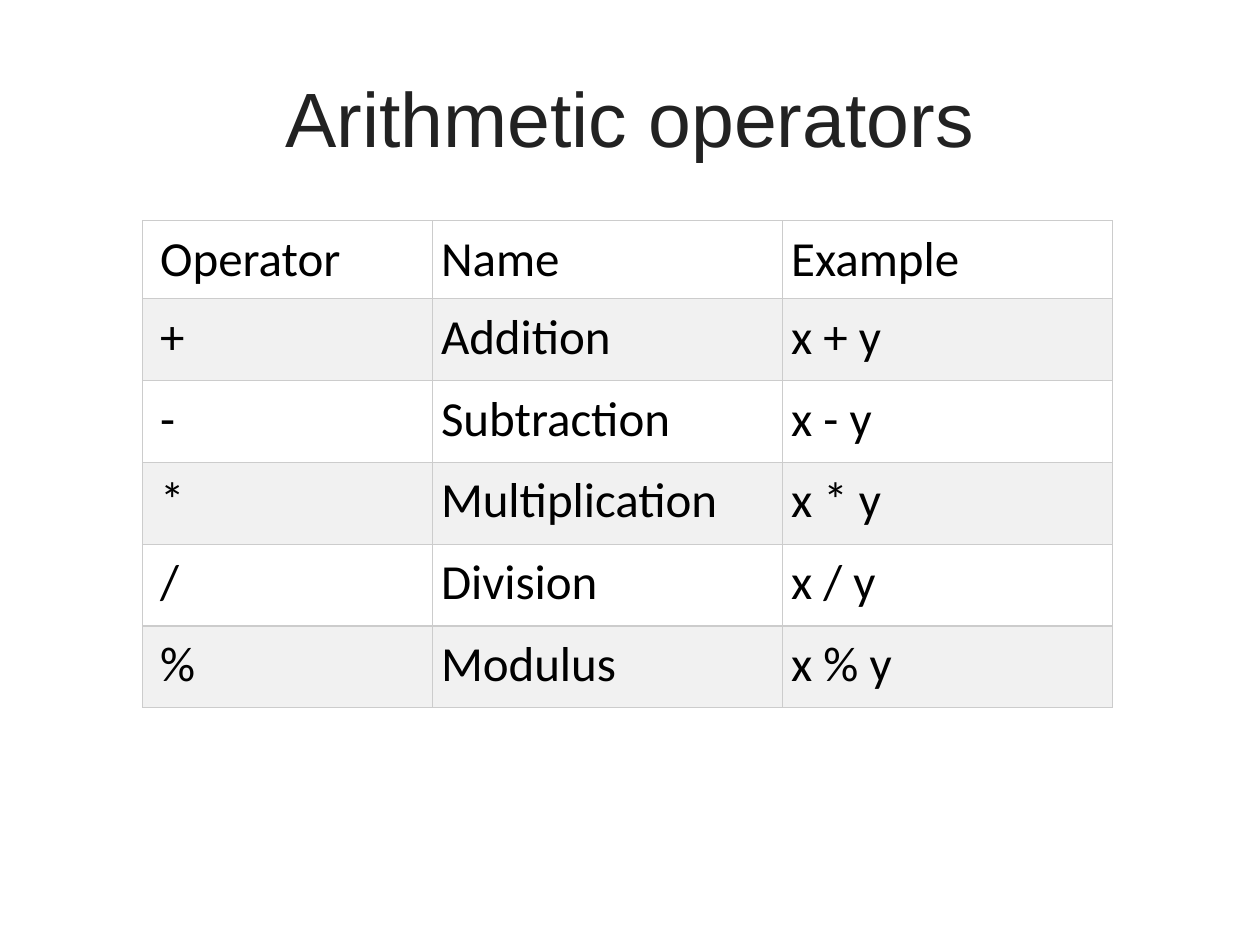
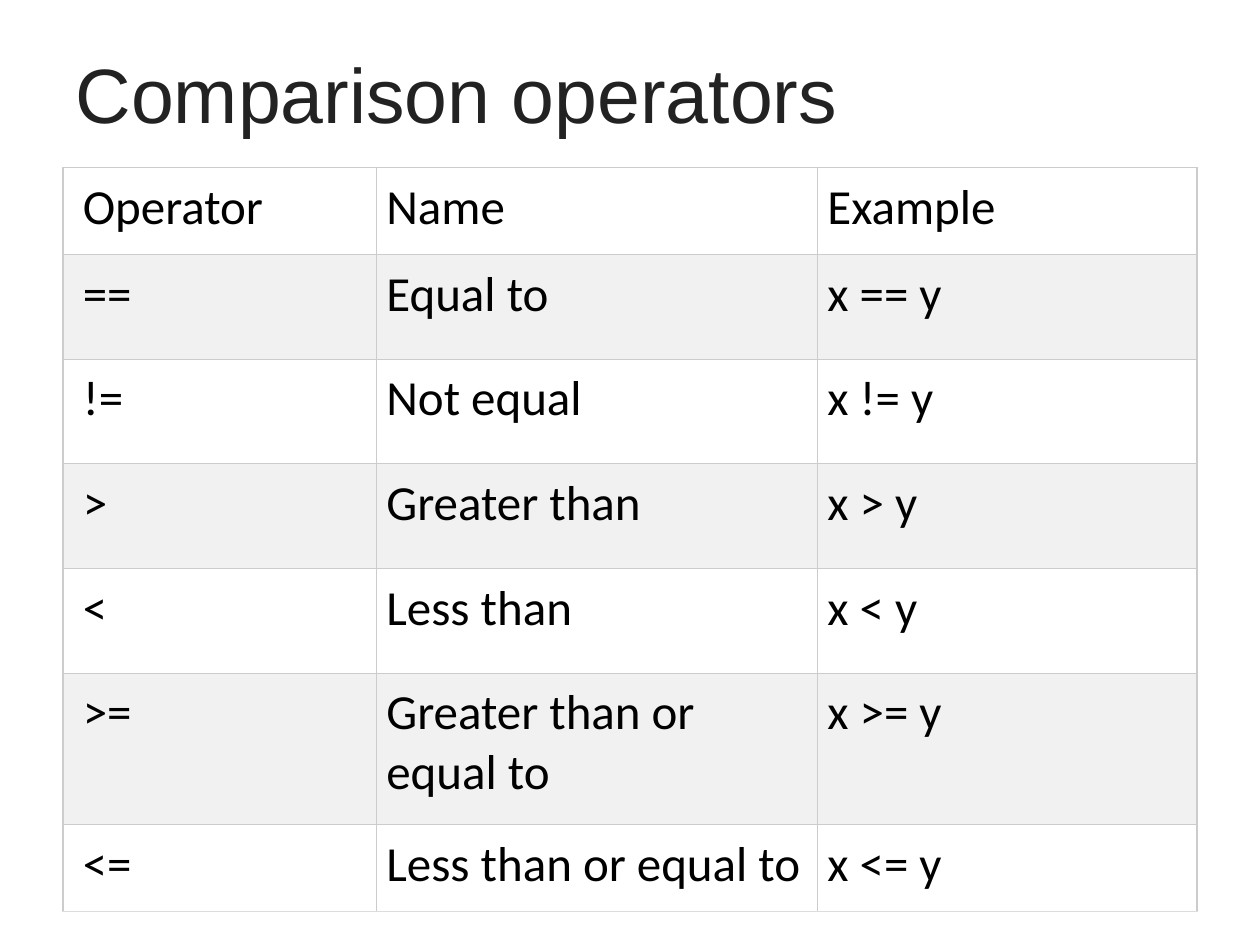
from lxml.etree import SubElement
from pptx import Presentation
from pptx.dml.color import RGBColor
from pptx.enum.text import MSO_ANCHOR, MSO_AUTO_SIZE, PP_ALIGN
from pptx.oxml.ns import qn
from pptx.util import Cm, Pt

HEADINGS = ("Operator", "Name", "Example")
SLIDES = [
    {
        "title": "Arithmetic operators",
        "align": PP_ALIGN.CENTER,
        "title_height": 3.18,
        "operators": [
            ("+", "Addition"),
            ("-", "Subtraction"),
            ("*", "Multiplication"),
            ("/", "Division"),
            ("%", "Modulus"),
        ],
        "table_left": 2.87,
        "table_top": 4.45,
        "column_widths": (5.84, 7.06, 6.65),
        "row_heights": [1.57] + [1.65] * 5,
        "margin": 0.18,
        "bottom_line": "CCCCCC",
    },
    {
        "title": "Comparison operators",
        "align": PP_ALIGN.LEFT,
        "title_height": 2.21,
        "operators": [
            ("==", "Equal to"),
            ("!=", "Not equal"),
            (">", "Greater than"),
            ("<", "Less than"),
            (">=", "Greater than or equal to"),
            ("<=", "Less than or equal to"),
        ],
        "table_left": 1.27,
        "table_top": 3.38,
        "column_widths": (6.32, 8.89, 7.65),
        "row_heights": [1.75] + [2.11] * 4 + [3.05, 1.75],
        "margin": 0.2,
        "bottom_line": "DDDDDD",
    },
]

TITLE_FORMAT = {"font": "Arial", "size": 44, "color": "222222"}
CELL_FORMAT = {"font": "Calibri", "size": 28, "color": "000000"}
ROW_FILLS = ("FFFFFF", "F1F1F1")
GRID_LINE = "CCCCCC"
TITLE_LEFT, TITLE_TOP, TITLE_WIDTH = 1.27, 0.76, 22.86


def color_of(value):
    """Turn a hex string into a colour."""
    return RGBColor.from_string(value)


def write_text(frame, text, *, font, size, color, align=PP_ALIGN.LEFT):
    """Put one formatted paragraph into a text frame."""
    paragraph = frame.paragraphs[0]
    paragraph.alignment = align
    run = paragraph.add_run()
    run.text = text
    run.font.name = font
    run.font.size = Pt(size)
    run.font.bold = False
    run.font.color.rgb = color_of(color)


def set_borders(cell, bottom):
    """Draw thin lines on the four sides of a cell."""
    properties = cell._tc.get_or_add_tcPr()
    sides = {"L": GRID_LINE, "R": GRID_LINE, "T": GRID_LINE, "B": bottom}
    for side, color in sides.items():
        line = SubElement(properties, qn(f"a:ln{side}"), w=str(Pt(0.75)))
        fill = SubElement(line, qn("a:solidFill"))
        SubElement(fill, qn("a:srgbClr"), val=color)


def format_cell(cell, text, fill, margin, left_margin, bottom):
    """Fill one table cell with its text, lines and background."""
    cell.margin_left = Cm(left_margin)
    cell.margin_right = cell.margin_top = cell.margin_bottom = Cm(margin)
    cell.vertical_anchor = MSO_ANCHOR.TOP
    set_borders(cell, bottom)
    cell.fill.solid()
    cell.fill.fore_color.rgb = color_of(fill)
    write_text(cell.text_frame, text, **CELL_FORMAT)


def add_title(slide, content):
    """Place and write the slide title."""
    title = slide.shapes.title
    title.left, title.top = Cm(TITLE_LEFT), Cm(TITLE_TOP)
    title.width, title.height = Cm(TITLE_WIDTH), Cm(content["title_height"])
    frame = title.text_frame
    frame.auto_size = MSO_AUTO_SIZE.NONE
    frame.vertical_anchor = MSO_ANCHOR.MIDDLE
    write_text(frame, content["title"], align=content["align"], **TITLE_FORMAT)


def add_operator_table(slide, content):
    """Build the table of operators with an example for each."""
    examples = [(sign, name, f"x {sign} y") for sign, name in content["operators"]]
    rows = [HEADINGS] + examples
    widths, heights = content["column_widths"], content["row_heights"]
    table = slide.shapes.add_table(
        len(rows), len(widths),
        Cm(content["table_left"]), Cm(content["table_top"]),
        Cm(sum(widths)), Cm(sum(heights)),
    ).table
    table.first_row = table.horz_banding = False
    for column, width in zip(table.columns, widths):
        column.width = Cm(width)
    margin = content["margin"]
    for row_index, (texts, height) in enumerate(zip(rows, heights)):
        table.rows[row_index].height = Cm(height)
        is_last = row_index == len(rows) - 1
        bottom = content["bottom_line"] if is_last else GRID_LINE
        for column_index, text in enumerate(texts):
            left_margin = margin if column_index else 2 * margin
            format_cell(table.cell(row_index, column_index), text,
                        ROW_FILLS[row_index % 2], margin, left_margin, bottom)


def main():
    """Build and save the presentation."""
    presentation = Presentation()
    presentation.slide_width, presentation.slide_height = Cm(25.4), Cm(19.05)
    title_only = presentation.slide_layouts.get_by_name("Title Only")
    for content in SLIDES:
        slide = presentation.slides.add_slide(title_only)
        add_title(slide, content)
        add_operator_table(slide, content)
    presentation.save("out.pptx")


if __name__ == "__main__":
    main()
